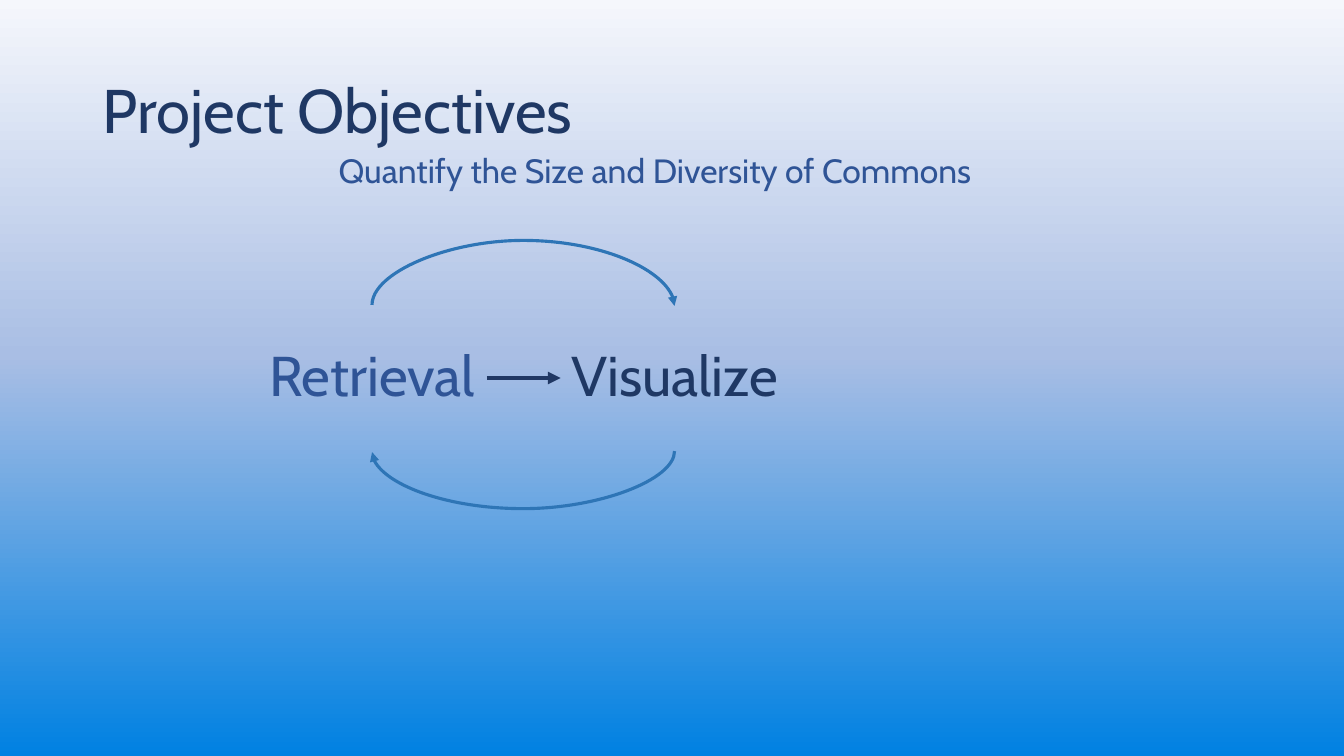
import copy

import pptx
import pptx.dml.color
import pptx.enum.shapes
import pptx.enum.text
import pptx.oxml
import pptx.oxml.ns
import pptx.util

Inches = pptx.util.Inches
Pt = pptx.util.Pt
ALIGN = pptx.enum.text.PP_ALIGN
CONNECTOR = pptx.enum.shapes.MSO_CONNECTOR
NAMESPACE = pptx.oxml.ns.nsdecls("a")

FONT = "Cabin"
NAVY, BLUE, CURVE_BLUE = "1F3864", "2F5496", "2E75B6"
BACKGROUND = [(0, "F5F7FC"), (0.47, "A9BEE4"), (1, "0081E2")]

TITLE = "Project Objectives"
SUBTITLE = "Quantify the Size and Diversity of Commons"
STEPS = [("Retrieval", BLUE), ("Visualize", NAVY)]

STEP_LEFT, STEP_TOP, STEP_WIDTH, STEP_HEIGHT = 2.19, 3.03, 3, 1.45
STEP_ARROW = (4.83, 3.75, 5.56, 3.75)
# Height of the ends, signed bulge, rotation in degrees, mirrored or not
CYCLE_CURVES = [
    (STEP_TOP, -0.65, 270, True),
    (STEP_TOP + STEP_HEIGHT, 0.58, 90, False),
]
CURVE_THICKNESS = 0.01


def color(hex_string):
    return pptx.dml.color.RGBColor.from_string(hex_string)


def paint_background(slide):
    fill = slide.background.fill
    fill.gradient()
    fill.gradient_angle = 270
    stop_list = slide.element.find(".//" + pptx.oxml.ns.qn("a:gsLst"))
    stop_list.append(copy.deepcopy(stop_list[-1]))
    for stop, (position, hex_string) in zip(fill.gradient_stops, BACKGROUND):
        stop.position = position
        stop.color.rgb = color(hex_string)


def write(shape, text, size, hex_string, alignment):
    frame = shape.text_frame
    frame.word_wrap = True
    frame.auto_size = pptx.enum.text.MSO_AUTO_SIZE.NONE
    frame.vertical_anchor = pptx.enum.text.MSO_ANCHOR.MIDDLE
    paragraph = frame.paragraphs[0]
    paragraph.alignment = alignment
    paragraph.line_spacing = 0.9
    run = paragraph.add_run()
    run.text = text
    run.font.name = FONT
    run.font.size = Pt(size)
    run.font.color.rgb = color(hex_string)


def add_label(slide, box, text, size, hex_string):
    label = slide.shapes.add_textbox(*map(Inches, box))
    write(label, text, size, hex_string, ALIGN.CENTER)


def add_arrow(slide, kind, ends, hex_string, width):
    arrow = slide.shapes.add_connector(kind, *map(Inches, ends))
    arrow.line.color.rgb = color(hex_string)
    arrow.line.width = Pt(width)
    arrow.line._get_or_add_ln().append(
        pptx.oxml.parse_xml(f'<a:tailEnd {NAMESPACE} type="triangle"/>'))
    arrow._element.spPr.append(
        pptx.oxml.parse_xml(f"<a:effectLst {NAMESPACE}/>"))
    return arrow


def add_cycle_curve(slide, end_y, bulge, rotation, mirrored):
    """Turn an upright curved connector so that it spans the two step centres."""
    left = STEP_LEFT + STEP_WIDTH - CURVE_THICKNESS / 2
    top = end_y - STEP_WIDTH / 2
    ends = (left, top, left + CURVE_THICKNESS, top + STEP_WIDTH)
    curve = add_arrow(slide, CONNECTOR.CURVE, ends, CURVE_BLUE, 2.25)
    properties = curve._element.spPr
    frame = properties.find(pptx.oxml.ns.qn("a:xfrm"))
    frame.set("rot", str(rotation * 60000))
    if mirrored:
        frame.set("flipH", "1")
    adjustment = round(bulge / CURVE_THICKNESS * 100000)
    guides = properties.find(".//" + pptx.oxml.ns.qn("a:avLst"))
    guides.append(pptx.oxml.parse_xml(
        f'<a:gd {NAMESPACE} name="adj1" fmla="val {adjustment}"/>'))


def main():
    presentation = pptx.Presentation()
    presentation.slide_width = Inches(13.33)
    presentation.slide_height = Inches(7.5)
    slide = presentation.slides.add_slide(presentation.slide_layouts[5])
    paint_background(slide)

    title = slide.shapes.title
    title.left, title.top = Inches(0.92), Inches(0.4)
    title.width, title.height = Inches(11.5), Inches(1.45)
    write(title, TITLE, 44, NAVY, ALIGN.LEFT)

    for index, (text, hex_string) in enumerate(STEPS):
        left = STEP_LEFT + index * STEP_WIDTH
        add_label(slide, (left, STEP_TOP, STEP_WIDTH, STEP_HEIGHT),
                  text, 40, hex_string)
    for curve in CYCLE_CURVES:
        add_cycle_curve(slide, *curve)
    add_arrow(slide, CONNECTOR.STRAIGHT, STEP_ARROW, "203864", 3)
    add_label(slide, (-0.17, 0.99, 13.33, 1.45), SUBTITLE, 24, BLUE)

    presentation.save("out.pptx")


if __name__ == "__main__":
    main()
